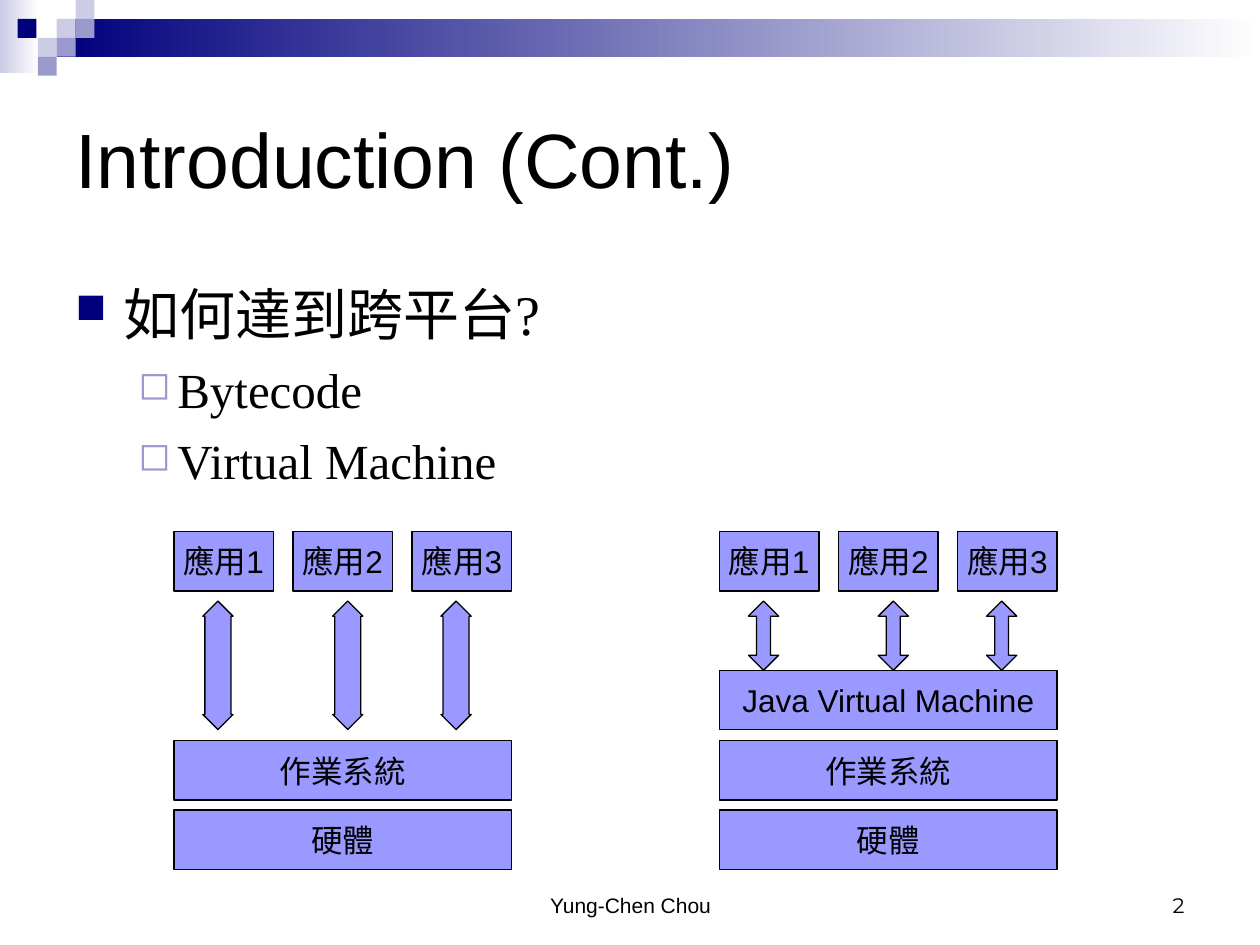
import pptx
import pptx.dml.color
import pptx.enum.shapes
import pptx.enum.text
import pptx.oxml
import pptx.oxml.ns
import pptx.util
from dataclasses import dataclass

Inches = pptx.util.Inches
SHAPE = pptx.enum.shapes.MSO_SHAPE
ALIGN = pptx.enum.text.PP_ALIGN
ANCHOR = pptx.enum.text.MSO_ANCHOR


@dataclass(frozen=True)
class Theme:
    black: str = "000000"
    white: str = "FFFFFF"
    navy: str = "00007D"
    mist: str = "CCCCE6"
    lavender: str = "9999CC"
    block: str = "9999FF"
    sans: str = "Arial"
    serif: str = "Times New Roman"
    number: str = "Montserrat"
    title: int = 44
    topic: int = 32
    point: int = 28
    label: int = 18
    footer: int = 12


THEME = Theme()

# Content
TITLE = "Introduction (Cont.)"
BODY = [(0, "如何達到跨平台?"), (1, "Bytecode"), (1, "Virtual Machine")]
APPS = ["應用1", "應用2", "應用3"]
# Each stack: left edge, arrow height, arrowhead ratio, layers from the bottom up
STACKS = [
    (1.38, 1.02, 0.86, ["硬體", "作業系統"]),
    (5.71, 0.55, 0.46, ["硬體", "作業系統", "Java Virtual Machine"]),
]
FOOTER, PAGE_NUMBER = "Yung-Chen Chou", "2"

# Body levels: size, margin, hanging indent, space before, bullet, its colour and size
LEVELS = [
    (THEME.topic, 0.38, 0.38, 0, "■", THEME.navy, 75),
    (THEME.point, 0.81, 0.31, 7, "◻", THEME.lavender, 80),
]

# Header decoration: gradient bands and tiles on a square grid
BANDS = [((0, 0, 0.31, 0.58), THEME.mist), ((0.45, 0.15, 9.55, 0.3), THEME.navy)]
TILE = 0.15
TILES = [(3, 1, THEME.mist), (4, 0, THEME.mist), (4, 1, THEME.lavender),
         (2, 2, THEME.mist), (0.93, 1, THEME.navy), (3, 2, THEME.lavender),
         (2, 3, THEME.lavender)]

# Diagram measures
STACK_WIDTH, APP_WIDTH, ROW_HEIGHT = 2.68, 0.79, 0.47
APP_TOP, ARROW_TOP, ARROW_WIDTH = 4.22, 4.77, 0.24
LAYER_TOPS = [6.43, 5.88, 5.32]
ARROW_OFFSETS = [0.23, 1.26, 2.12]


def rgb(value):
    return pptx.dml.color.RGBColor.from_string(value)


def add_shape(page, kind, area, fill, outlined=False):
    shape = page.shapes.add_shape(kind, *map(Inches, area))
    shape.shadow.inherit = False
    shape.fill.solid()
    shape.fill.fore_color.rgb = rgb(fill)
    if outlined:
        shape.line.color.rgb = rgb(THEME.black)
        shape.line.width = pptx.util.Pt(0.75)
    else:
        shape.line.fill.background()
    return shape


def write(para, text, size, font=THEME.sans, align=ALIGN.LEFT):
    para.alignment = align
    span = para.add_run()
    span.text = text
    span.font.size = pptx.util.Pt(size)
    span.font.name = font
    span.font.color.rgb = rgb(THEME.black)


def add_text(page, area, anchor=ANCHOR.TOP):
    frame = page.shapes.add_textbox(*map(Inches, area)).text_frame
    frame.word_wrap = True
    frame.vertical_anchor = anchor
    return frame


def add_bullet(para, mark, color, percent, margin, hanging):
    properties = para._p.get_or_add_pPr()
    properties.set("marL", str(Inches(margin)))
    properties.set("indent", str(-Inches(hanging)))
    namespace = pptx.oxml.ns.nsdecls("a")
    for xml in (f'<a:buClr {namespace}><a:srgbClr val="{color}"/></a:buClr>',
                f'<a:buSzPct {namespace} val="{percent * 1000}"/>',
                f'<a:buChar {namespace} char="{mark}"/>'):
        properties.append(pptx.oxml.parse_xml(xml))


def add_block(page, text, left, top, width):
    box = add_shape(page, SHAPE.RECTANGLE, (left, top, width, ROW_HEIGHT),
                    THEME.block, outlined=True)
    frame = box.text_frame
    frame.word_wrap = False
    frame.vertical_anchor = ANCHOR.MIDDLE
    write(frame.paragraphs[0], text, THEME.label, align=ALIGN.CENTER)


def add_header(page):
    for area, color in BANDS:
        band = add_shape(page, SHAPE.RECTANGLE, area, color)
        band.fill.gradient()
        band.fill.gradient_angle = 180
        for stop, shade in zip(band.fill.gradient_stops, (THEME.white, color)):
            stop.color.rgb = rgb(shade)
    for column, row, color in TILES:
        add_shape(page, SHAPE.RECTANGLE,
                  (column * TILE, row * TILE, TILE, TILE), color)


def add_body(page):
    frame = add_text(page, (0.5, 2.17, 9, 1.82))
    for index, (level, text) in enumerate(BODY):
        para = frame.add_paragraph() if index else frame.paragraphs[0]
        size, margin, hanging, before, mark, color, percent = LEVELS[level]
        para.level = level
        if before:
            para.space_before = pptx.util.Pt(before)
        add_bullet(para, mark, color, percent, margin, hanging)
        write(para, text, size, font=THEME.serif)


def add_stack(page, left, arrow_height, head_ratio, layers):
    step = (STACK_WIDTH - APP_WIDTH) / (len(APPS) - 1)
    for text, top in zip(layers, LAYER_TOPS):
        add_block(page, text, left, top, STACK_WIDTH)
    for index, (text, offset) in enumerate(zip(APPS, ARROW_OFFSETS)):
        add_block(page, text, left + index * step, APP_TOP, APP_WIDTH)
        arrow = add_shape(page, SHAPE.UP_DOWN_ARROW,
                          (left + offset, ARROW_TOP, ARROW_WIDTH, arrow_height),
                          THEME.block, outlined=True)
        arrow.adjustments[0] = 0.5
        arrow.adjustments[1] = head_ratio


def main():
    deck = pptx.Presentation()
    deck.slide_width, deck.slide_height = Inches(10), Inches(7.5)
    page = deck.slides.add_slide(deck.slide_layouts[6])

    add_header(page)
    # Title and bullets
    title = add_text(page, (0.5, 0.5, 9, 1.5), anchor=ANCHOR.MIDDLE)
    write(title.paragraphs[0], TITLE, THEME.title)
    add_body(page)
    # Platform diagrams
    for stack in STACKS:
        add_stack(page, *stack)
    # Footer and page number
    footer = add_text(page, (3.42, 6.83, 3.17, 0.5), anchor=ANCHOR.BOTTOM)
    write(footer.paragraphs[0], FOOTER, THEME.footer, align=ALIGN.CENTER)
    number = add_text(page, (7.17, 6.83, 2.33, 0.5), anchor=ANCHOR.BOTTOM)
    write(number.paragraphs[0], PAGE_NUMBER, THEME.footer,
          font=THEME.number, align=ALIGN.RIGHT)

    deck.save("out.pptx")


if __name__ == "__main__":
    main()
